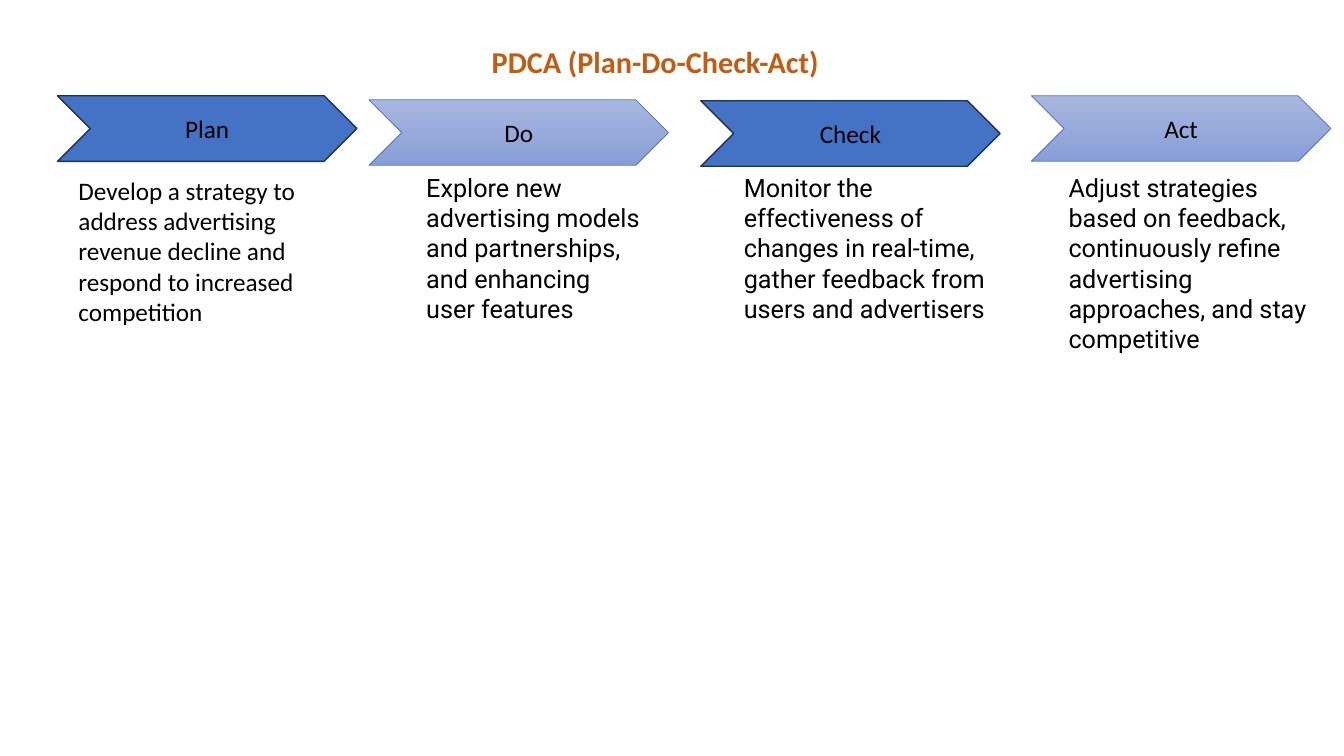
"""Build a one-slide PDCA overview with four chevrons and their descriptions."""
from dataclasses import dataclass

from pptx import Presentation
from pptx import util as u
from pptx.dml.color import RGBColor
from pptx.enum import shapes, text

SLIDE_WIDTH, SLIDE_HEIGHT = u.Inches(13.33), u.Inches(7.5)
BLACK, ORANGE = "000000", "C55A11"
BLUE, NAVY = "4472C4", "1E3256"
GRADIENT = ("A8B7DF", "889ED7")


@dataclass(frozen=True)
class Box:
    left: float
    top: float
    width: float
    height: float

    def lengths(self) -> tuple[int, int, int, int]:
        return (
            int(SLIDE_WIDTH * self.left / 100),
            int(SLIDE_HEIGHT * self.top / 100),
            int(SLIDE_WIDTH * self.width / 100),
            int(SLIDE_HEIGHT * self.height / 100),
        )


@dataclass(frozen=True)
class Step:
    name: str
    description: str
    chevron: Box
    body: Box
    body_font: str = "Roboto"
    shaded: bool = False


def chevron_box(left: float, top: float) -> Box:
    return Box(left, top, 22.28, 8.67)


def body_box(left: float, width: float, top: float = 22.13) -> Box:
    return Box(left, top, width, 21.6)


TITLE_BOX = Box(11.25, 5.2, 75.02, 6)
STEPS = [
    Step("Plan",
         "Develop a strategy to address advertising revenue decline "
         "and respond to increased competition",
         chevron_box(4.28, 12.67), body_box(5.1, 17.78, 22.53), body_font="Calibri"),
    Step("Do",
         "Explore new advertising models and partnerships, "
         "and enhancing user features",
         chevron_box(27.46, 13.2), body_box(30.98, 17.78), shaded=True),
    Step("Check",
         "Monitor the effectiveness of changes in real-time, "
         "gather feedback from users and advertisers",
         chevron_box(52.14, 13.33), body_box(54.61, 20.26)),
    Step("Act",
         "Adjust strategies based on feedback, continuously refine "
         "advertising approaches, and stay competitive",
         chevron_box(76.74, 12.67), body_box(78.77, 20.26), shaded=True),
]


def color(value: str) -> RGBColor:
    return RGBColor.from_string(value)


def write(shape, content: str, font_name: str = "Calibri", size: float = 18,
          font_color: str = BLACK, bold: bool = False,
          align=text.PP_ALIGN.LEFT, anchor=text.MSO_ANCHOR.TOP):
    text_frame = shape.text_frame
    text_frame.text = content
    text_frame.word_wrap = True
    text_frame.vertical_anchor = anchor
    paragraph = text_frame.paragraphs[0]
    paragraph.alignment = align
    font = paragraph.runs[0].font
    font.name, font.size, font.bold = font_name, u.Pt(size), bold
    font.color.rgb = color(font_color)
    return paragraph


def draw_title(slide) -> None:
    title = slide.shapes.add_textbox(*TITLE_BOX.lengths())
    paragraph = write(title, "PDCA (Plan-Do-Check-Act)", size=21.6,
                      font_color=ORANGE, bold=True,
                      align=text.PP_ALIGN.CENTER, anchor=text.MSO_ANCHOR.BOTTOM)
    paragraph.line_spacing = 0.9


def draw_description(slide, step: Step) -> None:
    body = slide.shapes.add_textbox(*step.body.lengths())
    write(body, step.description, step.body_font)
    body.text_frame.auto_size = text.MSO_AUTO_SIZE.SHAPE_TO_FIT_TEXT


def draw_chevron(slide, step: Step) -> None:
    chevron = slide.shapes.add_shape(shapes.MSO_SHAPE.CHEVRON, *step.chevron.lengths())
    chevron.shadow.inherit = False
    if step.shaded:
        chevron.fill.gradient()
        chevron.fill.gradient_angle = 270
        for stop, shade in zip(chevron.fill.gradient_stops, GRADIENT):
            stop.color.rgb = color(shade)
    else:
        chevron.fill.solid()
        chevron.fill.fore_color.rgb = color(BLUE)
    chevron.line.color.rgb = color(BLUE if step.shaded else NAVY)
    chevron.line.width = u.Pt(0.5 if step.shaded else 1)
    write(chevron, step.name, align=text.PP_ALIGN.CENTER, anchor=text.MSO_ANCHOR.MIDDLE)


def main() -> None:
    presentation = Presentation()
    presentation.slide_width, presentation.slide_height = SLIDE_WIDTH, SLIDE_HEIGHT
    slide = presentation.slides.add_slide(presentation.slide_layouts[6])
    draw_title(slide)
    for step in STEPS:
        draw_description(slide, step)
    for step in reversed(STEPS):
        draw_chevron(slide, step)
    presentation.save("out.pptx")


if __name__ == "__main__":
    main()
